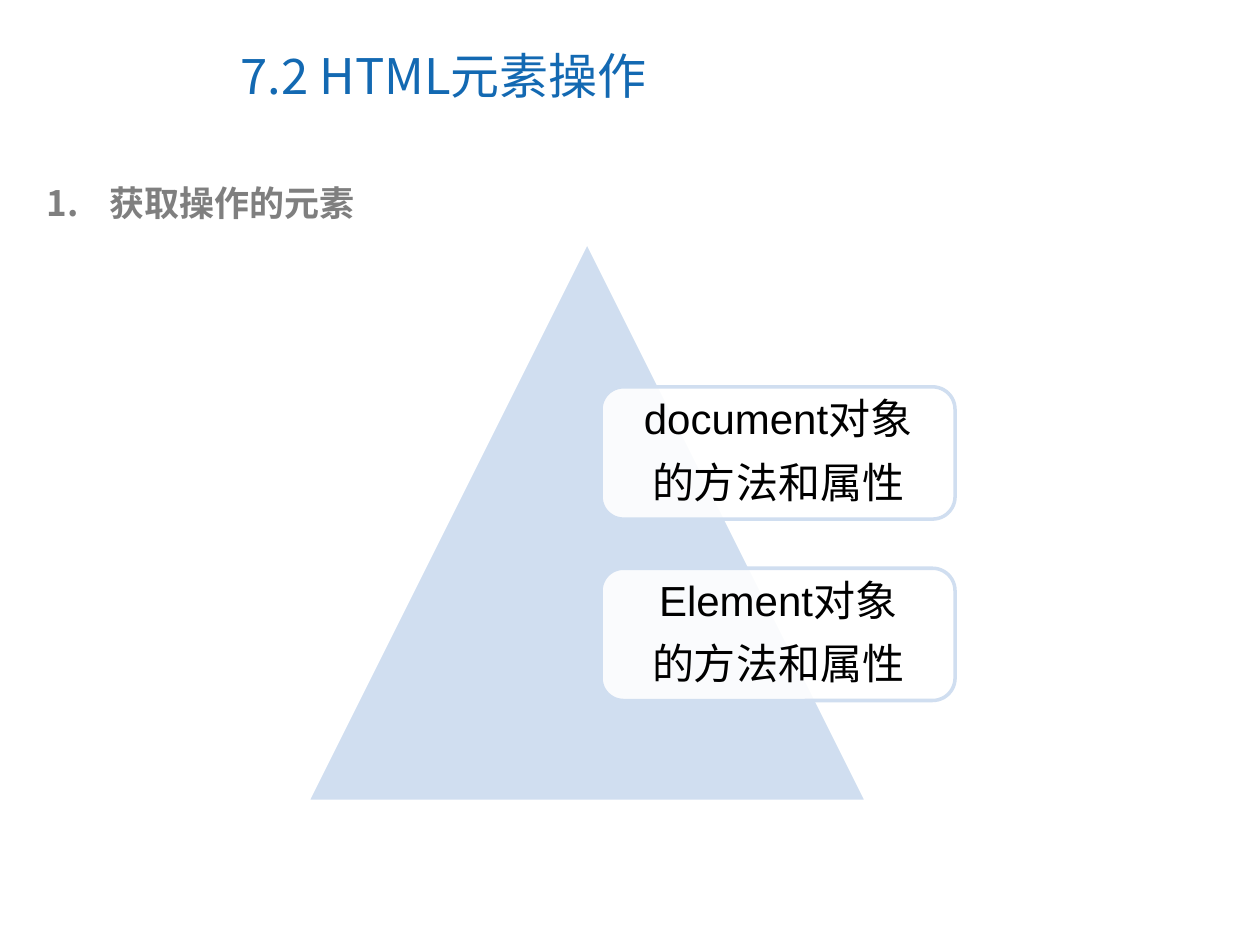
from pptx import Presentation
from pptx.dml.color import RGBColor
from pptx.enum.shapes import MSO_SHAPE
from pptx.enum.text import MSO_ANCHOR, MSO_AUTO_SIZE, PP_ALIGN
from pptx.oxml.ns import qn
from pptx.util import Inches, Pt
from lxml import etree

TRIANGLE = MSO_SHAPE.ISOSCELES_TRIANGLE
ROUNDED = MSO_SHAPE.ROUNDED_RECTANGLE
MIDDLE, TOP = MSO_ANCHOR.MIDDLE, MSO_ANCHOR.TOP
LEFT, CENTER = PP_ALIGN.LEFT, PP_ALIGN.CENTER
NO_FIT = MSO_AUTO_SIZE.NONE

BLUE = RGBColor(0x13, 0x69, 0xB2)
GRAY = RGBColor(0x7F, 0x7F, 0x7F)
PALE = RGBColor(0xD0, 0xDE, 0xF0)
WHITE = RGBColor(0xFF, 0xFF, 0xFF)
BLACK = RGBColor(0, 0, 0)


class SlideBuilder:
    """Holds the text style and the current slide, and adds each kind of element."""

    cjk = "Noto Sans CJK SC"
    latin = "Arial"

    def __init__(self, slide):
        self.slide = slide

    def run(self, p, text, size, color, font, bold=False):
        r = p.add_run()
        r.text = text
        r.font.size, r.font.bold, r.font.name = Pt(size), bold, font
        r.font.color.rgb = color
        ea = etree.SubElement(r.font._element, qn("a:ea"))
        ea.set("typeface", self.cjk)

    def place(self, sp, box, anchor):
        sp.left, sp.top, sp.width, sp.height = (Inches(v) for v in box)
        tf = sp.text_frame
        tf.auto_size, tf.word_wrap = NO_FIT, True
        tf.vertical_anchor = anchor
        return tf.paragraphs[0]

    def title(self, text, box):
        p = self.place(self.slide.shapes.title, box, MIDDLE)
        p.alignment = LEFT
        self.run(p, text, 28, BLUE, self.cjk)

    def numbered(self, text, box):
        p = self.place(self.slide.placeholders[1], box, TOP)
        p.space_before = Pt(0)
        self.run(p, text, 20, GRAY, self.cjk, True)
        pPr = p._p.get_or_add_pPr()
        pPr.set("marL", str(Inches(0.5)))
        pPr.set("indent", str(Inches(-0.5)))
        clr = etree.SubElement(pPr, qn("a:buClr"))
        etree.SubElement(clr, qn("a:srgbClr")).set("val", str(GRAY))
        etree.SubElement(pPr, qn("a:buFont")).set("typeface", self.cjk)
        etree.SubElement(pPr, qn("a:buAutoNum")).set("type", "arabicPeriod")

    def shape(self, kind, box, fill, line):
        sp = self.slide.shapes.add_shape(kind, *(Inches(v) for v in box))
        sp.shadow.inherit = False
        sp.fill.solid()
        sp.fill.fore_color.rgb = fill
        sp.line.color.rgb = line
        sp.line.width = Pt(2)
        return sp

    def card(self, lines, box):
        sp = self.shape(ROUNDED, box, WHITE, PALE)
        sp.adjustments[0] = 0.17
        clr = sp.element.spPr.find(qn("a:solidFill")).find(qn("a:srgbClr"))
        etree.SubElement(clr, qn("a:alpha")).set("val", "90000")
        tf = sp.text_frame
        tf.word_wrap, tf.vertical_anchor = True, MIDDLE
        tf.margin_left = tf.margin_right = Inches(0.21)
        tf.margin_top = tf.margin_bottom = Inches(0.21)
        for i, text in enumerate(lines):
            p = tf.add_paragraph() if i else tf.paragraphs[0]
            p.alignment, p.line_spacing, p.space_after = CENTER, 0.9, Pt(10.5)
            self.run(p, text, 24, BLACK, self.latin)


def main():
    prs = Presentation()
    prs.slide_width, prs.slide_height = Inches(10), Inches(7.5)
    s = SlideBuilder(prs.slides.add_slide(prs.slide_layouts[1]))
    s.title("7.2 HTML元素操作", (1.81, 0.17, 5.16, 0.85))
    s.numbered("获取操作的元素", (0.27, 1.39, 9.22, 0.44))
    s.shape(TRIANGLE, (2.44, 1.92, 4.44, 4.44), PALE, WHITE)
    for i, name in enumerate(("document", "Element")):
        s.card((f"{name}对象", "的方法和属性"), (4.77, 3.07 + 1.44 * i, 2.81, 1.05))
    prs.save("out.pptx")


if __name__ == "__main__":
    main()
